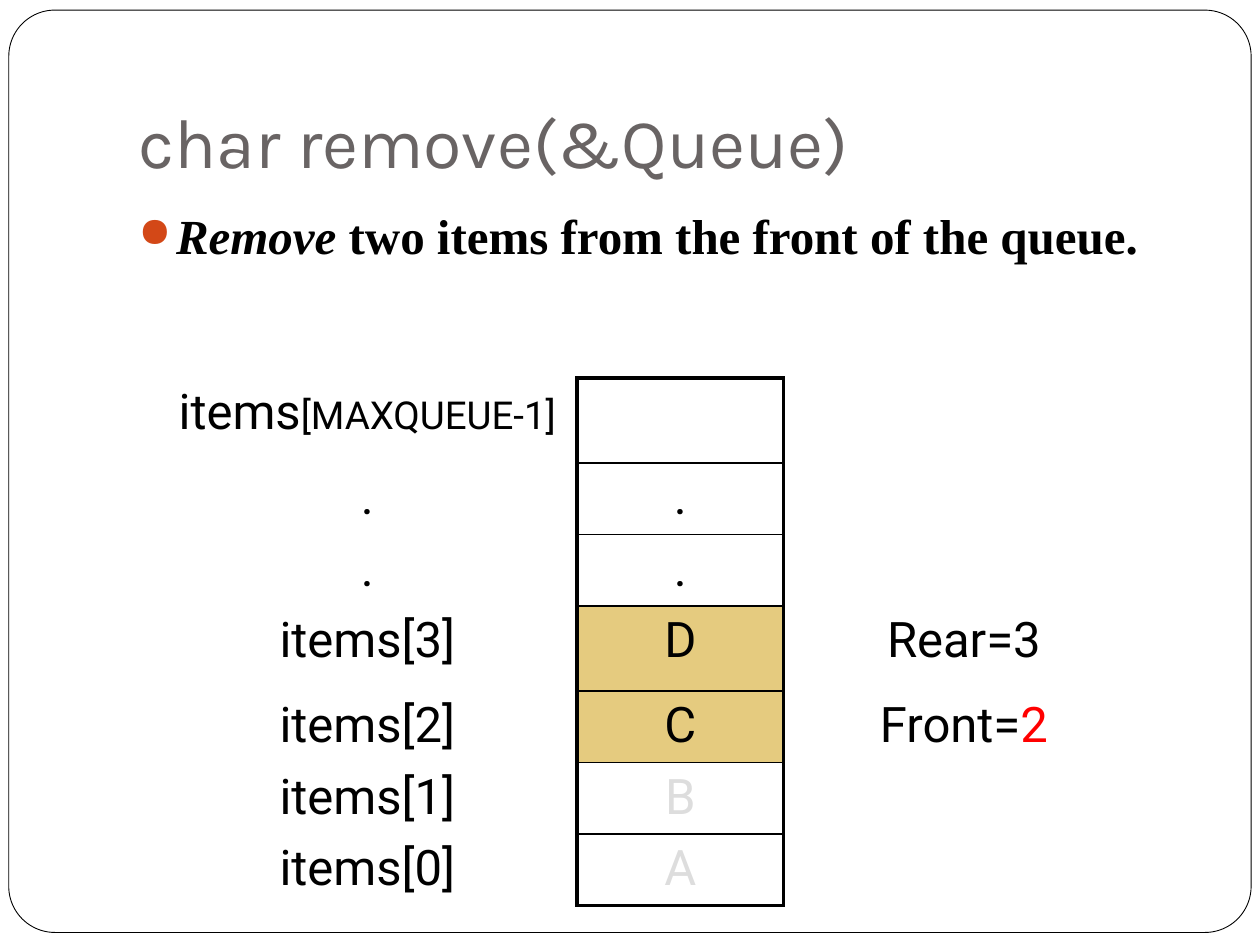
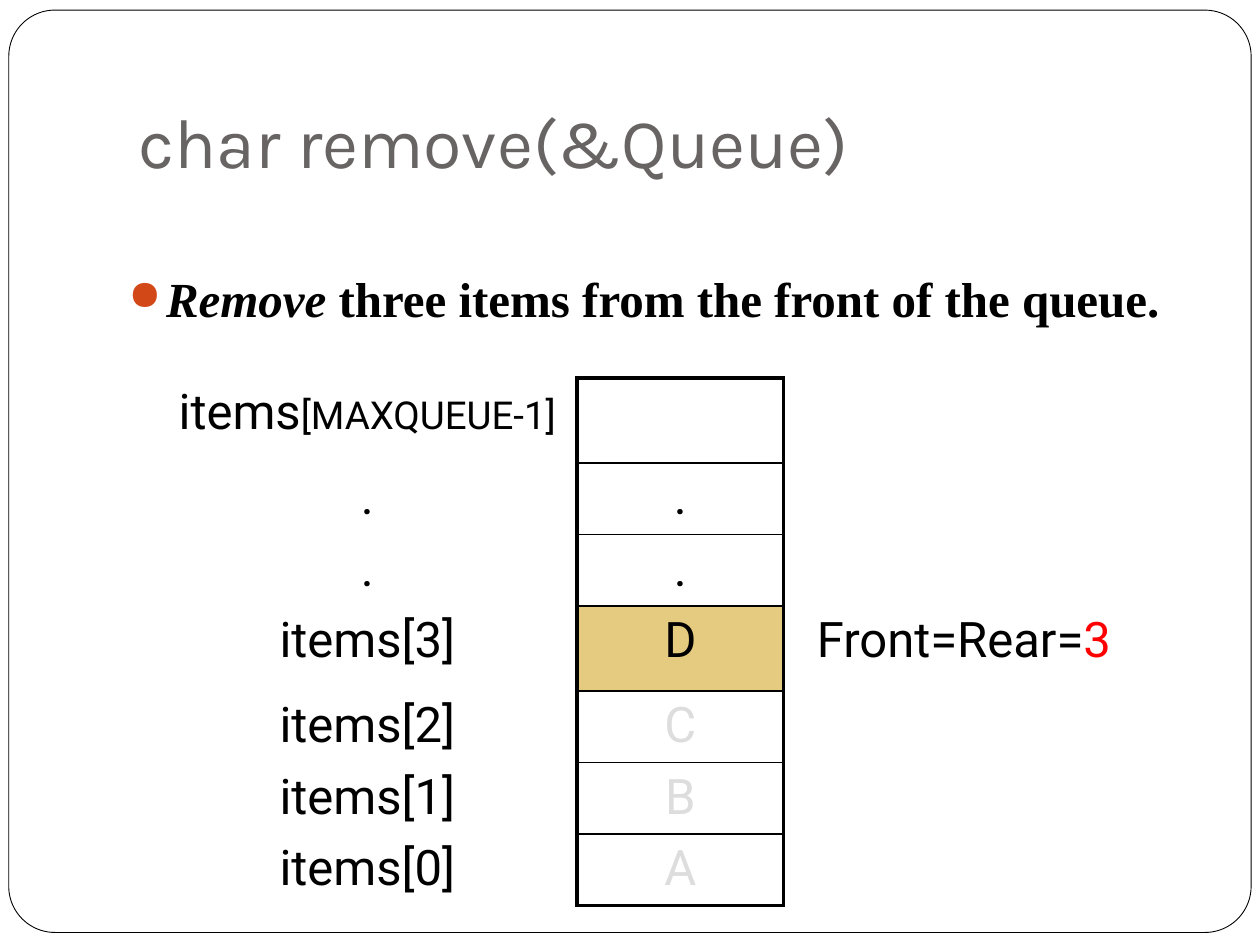
from lxml.etree import SubElement
from pptx import Presentation
from pptx.dml.color import RGBColor
from pptx.enum.shapes import MSO_SHAPE
from pptx.enum.text import MSO_ANCHOR, PP_ALIGN
from pptx.oxml import parse_xml
from pptx.oxml.ns import nsdecls, qn
from pptx.util import Inches, Pt

SLIDE_W, SLIDE_H = Inches(10), Inches(7.5)

# Shared look
INK, GREY_TITLE, BULLET = "000000", "696464", "D34817"
REMOVED, CHANGED, OCCUPIED = "DDDDDD", "FF0000", "CC9900"
TITLE_FONT = {"name": "Karla", "size": Pt(40), "bold": False}
STEP_FONT = {"name": "Times New Roman", "size": Pt(28), "bold": True}
CELL_FONT = {"name": "Roboto", "size": Pt(28)}
NO_STYLE = "{2D5ABB26-0587-4C30-8999-92F81FD0307C}"
THICK, THIN = 2.25, 1

# Queue grid, in percent of the slide's width and height
QUEUE_LEFT, QUEUE_TOP = 12.5, 40
QUEUE_COLUMNS = [33.3, 16.4, 28.6]
TALL, SHORT = 9, 7.45
QUEUE_ROWS = [TALL, SHORT, SHORT, TALL, SHORT, SHORT, SHORT]
DOT_ROWS = (1, 2)
SLOTS = "DCBA"
FIRST_SLOT_ROW = 3


def across(percent):
    return int(SLIDE_W * percent / 100)


def down(percent):
    return int(SLIDE_H * percent / 100)


def box(left, top, width, height):
    return across(left), down(top), across(width), down(height)


def rgb(hex_colour):
    return RGBColor.from_string(hex_colour)


def apply(target, values):
    for attribute, value in values.items():
        setattr(target, attribute, value)


def write(paragraph, text, look, colour=INK):
    run = paragraph.add_run()
    run.text = text
    apply(run.font, look)
    run.font.color.rgb = rgb(colour)


def add_frame(slide):
    """Rounded page outline behind everything else."""
    outline = slide.shapes.add_shape(MSO_SHAPE.ROUNDED_RECTANGLE,
                                     *box(0.7, 1.07, 98.6, 97.6))
    outline.adjustments[0] = 0.05
    outline.shadow.inherit = False
    outline.fill.solid()
    outline.fill.fore_color.rgb = rgb("FFFFFF")
    outline.line.color.rgb = rgb(INK)
    outline.line.width = Pt(0.5)
    slide.shapes._spTree.insert(2, outline._element)


def set_title(slide, text):
    title = slide.shapes.title
    apply(title, dict(zip(("left", "top", "width", "height"), box(10, 4, 85, 16.67))))
    apply(title.text_frame, {"vertical_anchor": MSO_ANCHOR.BOTTOM, "word_wrap": True,
                             "margin_left": Inches(0.1), "margin_right": Inches(0.1),
                             "margin_top": Inches(0.05), "margin_bottom": Inches(0.1)})
    heading = title.text_frame.paragraphs[0]
    heading.alignment = PP_ALIGN.LEFT
    write(heading, text, TITLE_FONT, GREY_TITLE)


def add_step(slide, place, verb, rest):
    """Bulleted sentence with an italic verb."""
    step = slide.shapes.add_textbox(*box(*place)).text_frame
    step.word_wrap = True
    sentence = step.paragraphs[0]
    sentence.space_before = Pt(5.8)
    write(sentence, verb, STEP_FONT | {"italic": True})
    write(sentence, rest, STEP_FONT)
    properties = sentence._p.get_or_add_pPr()
    properties.set("marL", str(Inches(0.3)))
    properties.set("indent", str(-Inches(0.3)))
    colour = SubElement(properties, qn("a:buClr"))
    SubElement(colour, qn("a:srgbClr"), val=BULLET)
    SubElement(properties, qn("a:buSzPct"), val="85000")
    SubElement(properties, qn("a:buChar"), char="●")


def fill_cell(cell, occupied):
    if not occupied:
        cell.fill.background()
        return
    cell.fill.solid()
    cell.fill.fore_color.rgb = rgb(OCCUPIED)
    colour = cell._tc.tcPr.find(".//" + qn("a:srgbClr"))
    SubElement(colour, qn("a:alpha"), val="50000")


def set_borders(cell, **widths):
    """Borders by side: L, R, T, B, given in that order."""
    for place, (side, points) in enumerate(widths.items()):
        cell._tc.tcPr.insert(place, parse_xml(
            f'<a:ln{side} {nsdecls("a")} w="{Pt(points)}"><a:solidFill>'
            f'<a:srgbClr val="{INK}"/></a:solidFill></a:ln{side}>'))


def write_cell(cell, *pieces):
    """Each piece is a text with optional colour and point size."""
    line = cell.text_frame.paragraphs[0]
    line.alignment = PP_ALIGN.CENTER
    for text, colour, size in pieces:
        write(line, text, CELL_FONT | {"size": Pt(size)}, colour)


def slot_borders(row):
    last = len(QUEUE_ROWS) - 1
    borders = {"L": THICK, "R": THICK}
    if row != DOT_ROWS[1]:
        borders["T"] = THICK if row == 0 else THIN
    if row != DOT_ROWS[0]:
        borders["B"] = THICK if row == last else THIN
    return borders


def add_queue(slide, removed, pointers):
    """Array drawn as a stack of slots, with index labels and pointers."""
    graphic = slide.shapes.add_table(
        len(QUEUE_ROWS), len(QUEUE_COLUMNS),
        *box(QUEUE_LEFT, QUEUE_TOP, sum(QUEUE_COLUMNS), sum(QUEUE_ROWS)))
    queue = graphic.table
    apply(queue, {"first_row": False, "horz_banding": False})
    queue._tbl.tblPr.find(qn("a:tableStyleId")).text = NO_STYLE
    for column, share in zip(queue.columns, QUEUE_COLUMNS):
        column.width = across(share)

    for row, share in enumerate(QUEUE_ROWS):
        queue.rows[row].height = down(share)
        label, slot, pointer = (queue.cell(row, column) for column in range(3))
        index = len(QUEUE_ROWS) - 1 - row
        in_use = row >= FIRST_SLOT_ROW and index >= removed
        for cell in (label, slot, pointer):
            fill_cell(cell, cell is slot and in_use)
        set_borders(label, R=THICK)
        set_borders(slot, **slot_borders(row))
        set_borders(pointer, L=THICK)

        if row == 0:
            write_cell(label, ("items", INK, 28), ("[MAXQUEUE-1]", INK, 22))
        elif row in DOT_ROWS:
            write_cell(label, (".", INK, 28))
            write_cell(slot, (".", INK, 28))
        else:
            write_cell(label, (f"items[{index}]", INK, 28))
            write_cell(slot, (SLOTS[row - FIRST_SLOT_ROW],
                              INK if in_use else REMOVED, 28))
        if index in pointers:
            write_cell(pointer, *((text, colour, 28) for text, colour in pointers[index]))


def add_remove_slide(deck, step_place, count, removed, pointers):
    slide = deck.slides.add_slide(deck.slide_layouts[5])
    add_frame(slide)
    set_title(slide, "char remove(&Queue)")
    add_step(slide, step_place, "Remove ", f"{count} items from the front of the queue.")
    add_queue(slide, removed, pointers)


def main():
    deck = Presentation()
    apply(deck, {"slide_width": SLIDE_W, "slide_height": SLIDE_H})
    # Two items removed
    add_remove_slide(deck, (10, 21.07, 85, 18), "two", 2,
                     {3: [("Rear=3", INK)], 2: [("Front=", INK), ("2", CHANGED)]})
    # Three items removed
    add_remove_slide(deck, (9.2, 27.73, 87.3, 12), "three", 3,
                     {3: [("Front=Rear=", INK), ("3", CHANGED)]})
    deck.save("out.pptx")


if __name__ == "__main__":
    main()
